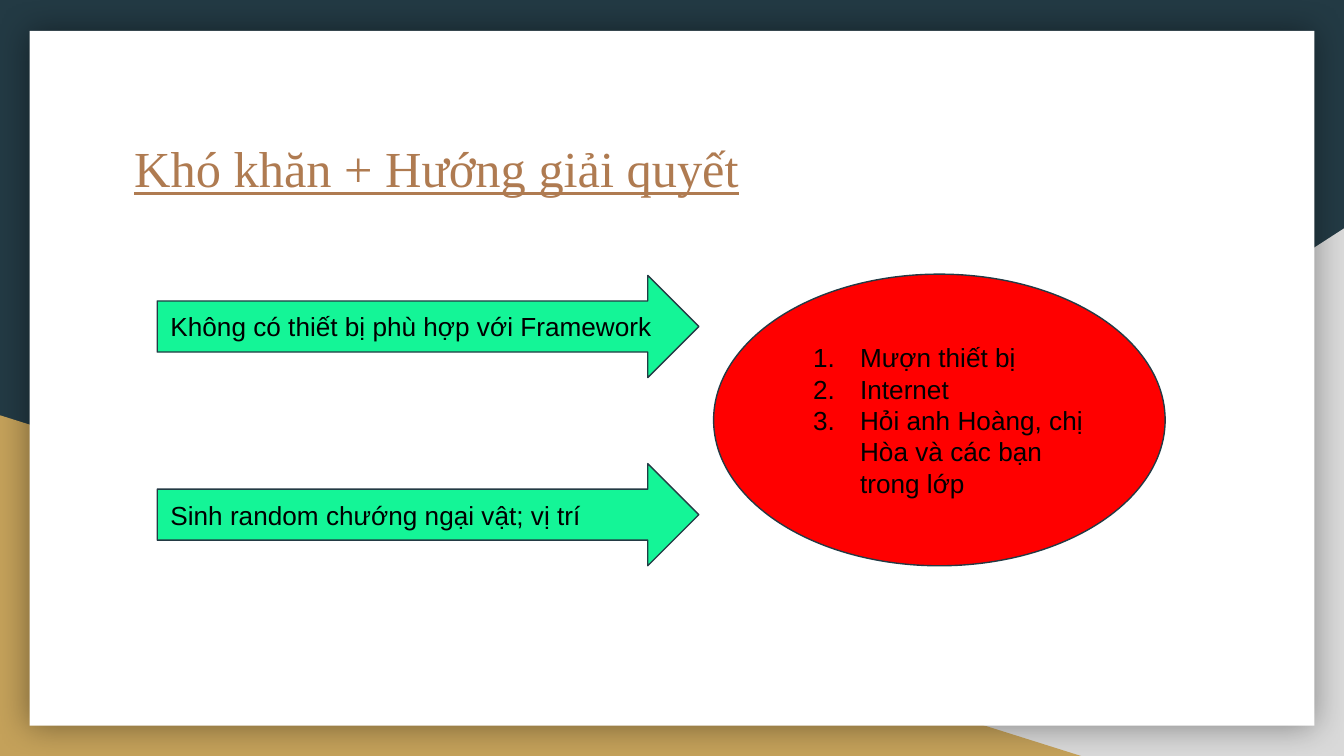
from pptx import Presentation
from pptx.dml.color import RGBColor
from pptx.enum.shapes import MSO_SHAPE
from pptx.enum.text import MSO_ANCHOR, PP_ALIGN
from pptx.oxml import parse_xml
from pptx.oxml.ns import nsdecls, qn
from pptx.util import Inches, Pt

NAVY = "233A44"


def color(value):
    return RGBColor.from_string(value)


def add_filled(kind, left, top, width, height, fill, lines=()):
    """Add a shape; with lines of text it also gets a navy outline."""
    shape = page.shapes.add_shape(
        kind, Inches(left), Inches(top), Inches(width), Inches(height))
    shape.shadow.inherit = False
    shape.fill.solid()
    shape.fill.fore_color.rgb = color(fill)
    if not lines:
        shape.line.fill.background()
        return shape
    shape.line.color.rgb = color(NAVY)
    shape.line.width = Pt(0.75)
    frame = shape.text_frame
    frame.margin_left = frame.margin_right = Inches(0.1)
    frame.margin_top = frame.margin_bottom = Inches(0.1)
    frame.vertical_anchor = MSO_ANCHOR.MIDDLE
    frame.text = "\n".join(lines)
    for paragraph in frame.paragraphs:
        paragraph.alignment = PP_ALIGN.LEFT
        font = paragraph.runs[0].font
        font.name = "Arial"
        font.size = Pt(14)
        font.color.rgb = color("000000")
    return shape


# Widescreen page, 16:9
deck = Presentation()
deck.slide_width = Inches(10)
deck.slide_height = Inches(10 * 9 / 16)
page = deck.slides.add_slide(deck.slide_layouts[6])

# Background with two coloured corners
page.background.fill.solid()
page.background.fill.fore_color.rgb = color(NAVY)
gray_corner = add_filled(MSO_SHAPE.RIGHT_TRIANGLE, 3.92, 1.7, 6.08, 3.93, "D9D9D9")
gray_corner._element.spPr.find(qn("a:xfrm")).set("flipH", "1")
add_filled(MSO_SHAPE.RIGHT_TRIANGLE, 0, 3.09, 8.06, 2.54, "C4A15A")

# White card with a soft shadow
card = add_filled(MSO_SHAPE.RECTANGLE, 0.22, 0.23, 9.56, 5.17, "FFFFFF")
card._element.spPr.find(qn("a:effectLst")).append(parse_xml(
    f'<a:outerShdw {nsdecls("a")} blurRad="{Pt(18)}" dist="0" dir="0" algn="ctr" '
    'rotWithShape="0"><a:srgbClr val="000000"><a:alpha val="40000"/></a:srgbClr>'
    '</a:outerShdw>'))

# Title
title = page.shapes.add_textbox(Inches(0.9), Inches(0.92), Inches(8.21), Inches(0.59))
frame = title.text_frame
frame.word_wrap = True
frame.margin_left = frame.margin_right = Inches(0.1)
frame.margin_top = frame.margin_bottom = Inches(0.1)
frame.text = "Khó khăn + Hướng giải quyết"
font = frame.paragraphs[0].runs[0].font
font.name = "Times New Roman"
font.size = Pt(27)
font.underline = True
font.color.rgb = color("AF7B51")

# Difficulties
difficulties = ["Không có thiết bị phù hợp với Framework",
                "Sinh random chướng ngại vật; vị trí"]
for index, difficulty in enumerate(difficulties):
    add_filled(MSO_SHAPE.RIGHT_ARROW, 1.17, 2.05 + 1.4 * index, 4.03, 0.76,
               "14F597", [difficulty])

# Solutions as a numbered list
solutions = ["Mượn thiết bị", "Internet", "Hỏi anh Hoàng, chị Hòa và các bạn trong lớp"]
ellipse = add_filled(MSO_SHAPE.OVAL, 5.31, 2.04, 3.36, 2.17, "FF0000", solutions)
for paragraph in ellipse.text_frame.paragraphs:
    properties = paragraph._p.get_or_add_pPr()
    properties.set("marL", str(Inches(0.5)))
    properties.set("indent", str(Inches(-0.35)))
    properties.append(parse_xml(
        f'<a:buClr {nsdecls("a")}><a:srgbClr val="000000"/></a:buClr>'))
    properties.append(parse_xml(
        f'<a:buFont {nsdecls("a")} typeface="Arial"/>'))
    properties.append(parse_xml(
        f'<a:buAutoNum {nsdecls("a")} type="arabicPeriod"/>'))

deck.save("out.pptx")
